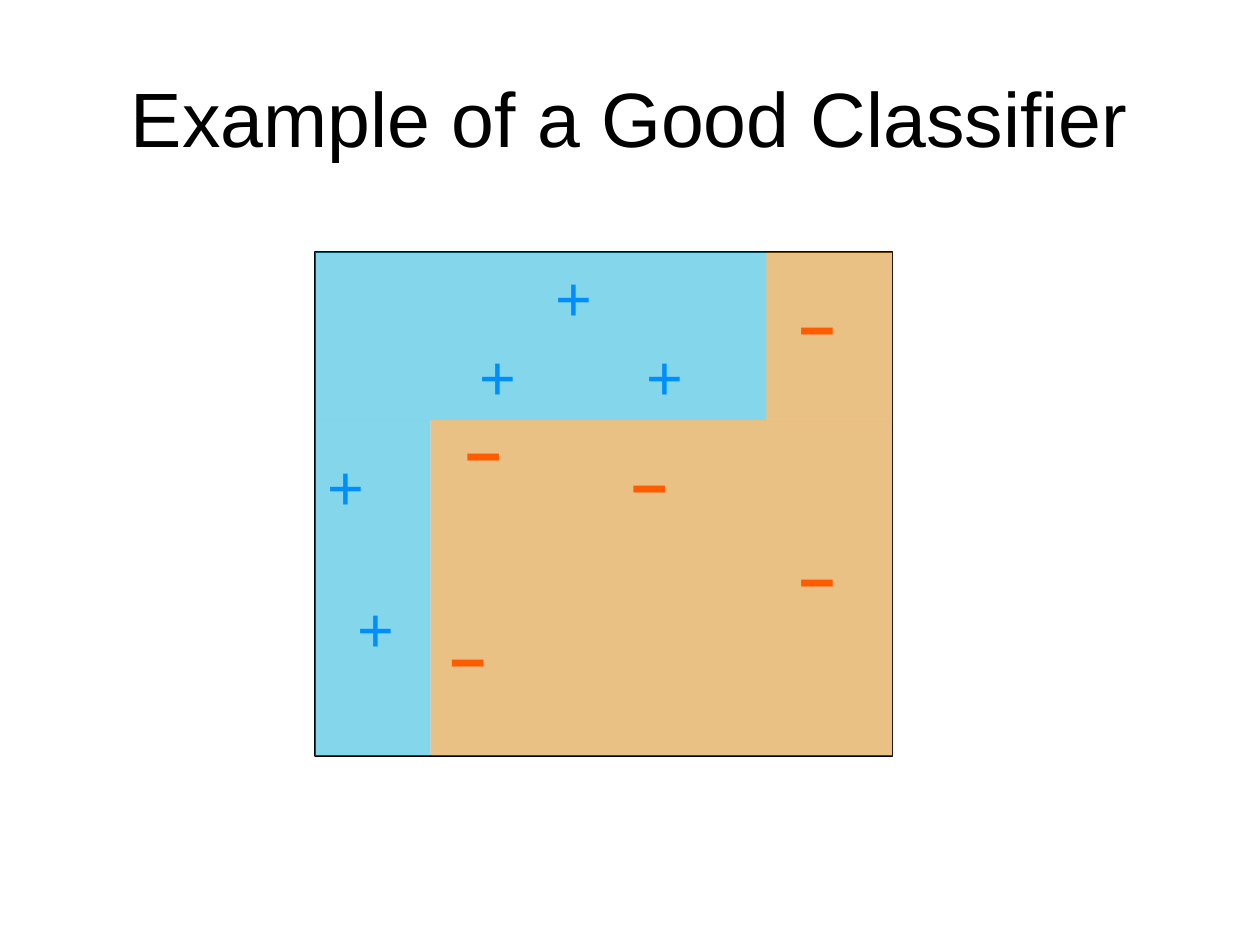
"""Build a slide showing a good classifier separating plus and minus examples."""
from dataclasses import dataclass

from lxml.etree import SubElement
from pptx import Presentation
from pptx.dml.color import RGBColor as RGB
from pptx.enum.shapes import MSO_SHAPE as Shape
from pptx.enum.text import MSO_ANCHOR as Anchor, PP_ALIGN as Align
from pptx.oxml.ns import qn
from pptx.util import Cm, Pt


@dataclass(frozen=True)
class Theme:
    font: str = "Arial"
    title_size: Pt = Pt(44)
    mark_size: Pt = Pt(36)
    mark_space: Pt = Pt(22.5)
    outline: Pt = Pt(0.75)
    black: RGB = RGB(0x00, 0x00, 0x00)
    panel: RGB = RGB(0xDD, 0xDD, 0xDD)
    plus: RGB = RGB(0x00, 0x66, 0xFF)
    minus: RGB = RGB(0xFF, 0x33, 0x00)
    plus_region: RGB = RGB(0x00, 0xCC, 0xFF)
    minus_region: RGB = RGB(0xFF, 0x99, 0x00)
    region_alpha: str = "40000"


theme = Theme()
presentation = Presentation()
presentation.slide_width, presentation.slide_height = Cm(25.4), Cm(19.05)
slide = presentation.slides.add_slide(presentation.slide_layouts[6])


def add_text(text, left, top, width, height, size, color, bold=False):
    frame = slide.shapes.add_textbox(Cm(left), Cm(top), Cm(width), Cm(height)).text_frame
    frame.word_wrap = True
    paragraph = frame.paragraphs[0]
    run = paragraph.add_run()
    run.text = text
    run.font.name, run.font.size, run.font.bold = theme.font, size, bold
    run.font.color.rgb = color
    return frame, paragraph


def add_rectangle(left, top, right, bottom, color):
    shape = slide.shapes.add_shape(
        Shape.RECTANGLE, Cm(left), Cm(top), Cm(right - left), Cm(bottom - top))
    shape.shadow.inherit = False
    shape.fill.solid()
    shape.fill.fore_color.rgb = color
    shape.line.fill.background()
    return shape


title_frame, title = add_text(
    "Example of a Good Classifier", 1.27, 0.76, 22.86, 3.18, theme.title_size, theme.black)
title_frame.vertical_anchor = Anchor.MIDDLE
title.alignment = Align.CENTER

left, lower_split, upper_split, right = 6.35, 8.68, 15.45, 17.99
top, middle, bottom = 5.08, 8.47, 15.24

panel = add_rectangle(left, top, right, bottom, theme.panel)
panel.line.color.rgb = theme.black
panel.line.width = theme.outline

marks = [
    ("+", theme.plus, False,
     [(10.95, 5.08), (12.78, 6.68), (9.42, 6.68), (6.35, 8.89), (6.96, 11.76)]),
    ("−", theme.minus, True,
     [(12.47, 8.89), (9.12, 8.26), (8.81, 12.4), (15.85, 10.8), (15.85, 5.72)]),
]
for symbol, color, bold, positions in marks:
    for mark_left, mark_top in positions:
        frame, paragraph = add_text(
            symbol, mark_left, mark_top, 1.52, 1.78, theme.mark_size, color, bold)
        paragraph.space_before = theme.mark_space

regions = [
    (left, middle, lower_split, bottom, theme.plus_region),
    (left, top, upper_split, middle, theme.plus_region),
    (lower_split, middle, right, bottom, theme.minus_region),
    (upper_split, top, right, middle, theme.minus_region),
]
for region in regions:
    shape = add_rectangle(*region)
    fill_color = shape.fill._xPr.find(qn("a:solidFill")).find(qn("a:srgbClr"))
    SubElement(fill_color, qn("a:alpha")).set("val", theme.region_alpha)

presentation.save("out.pptx")
